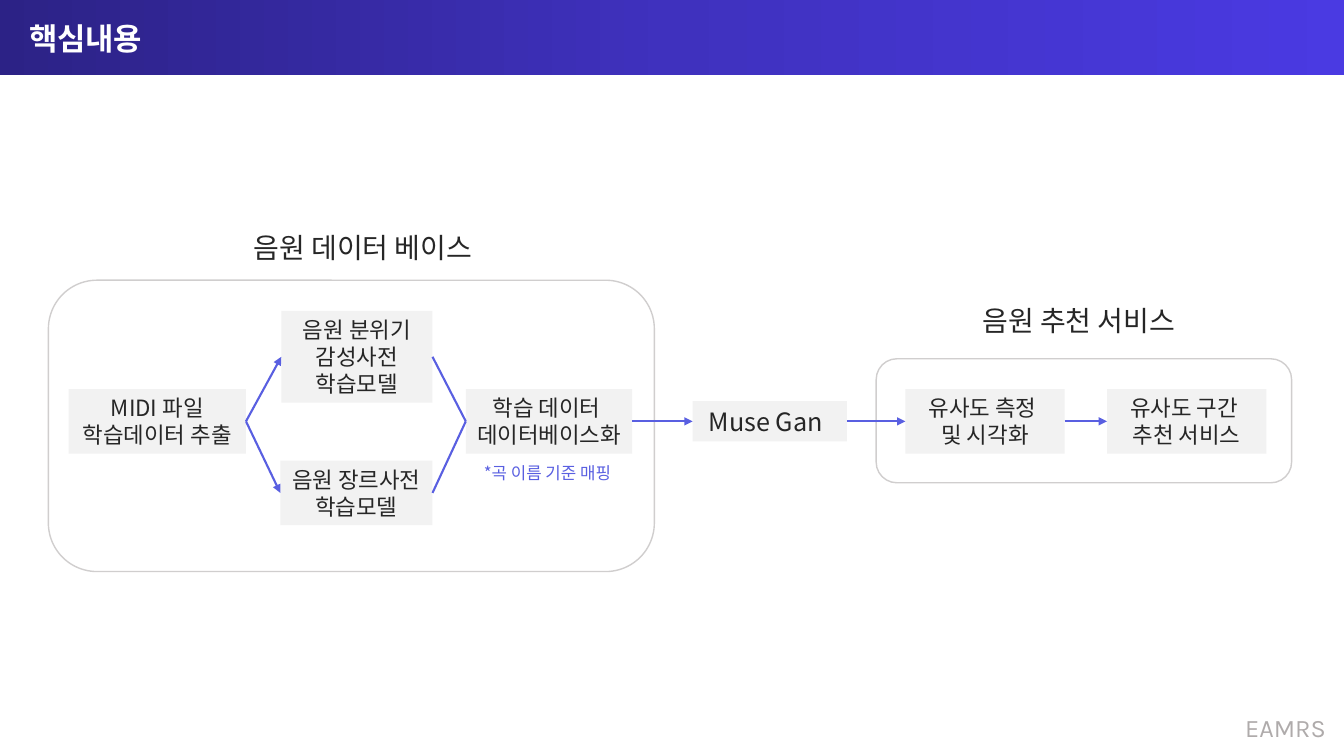
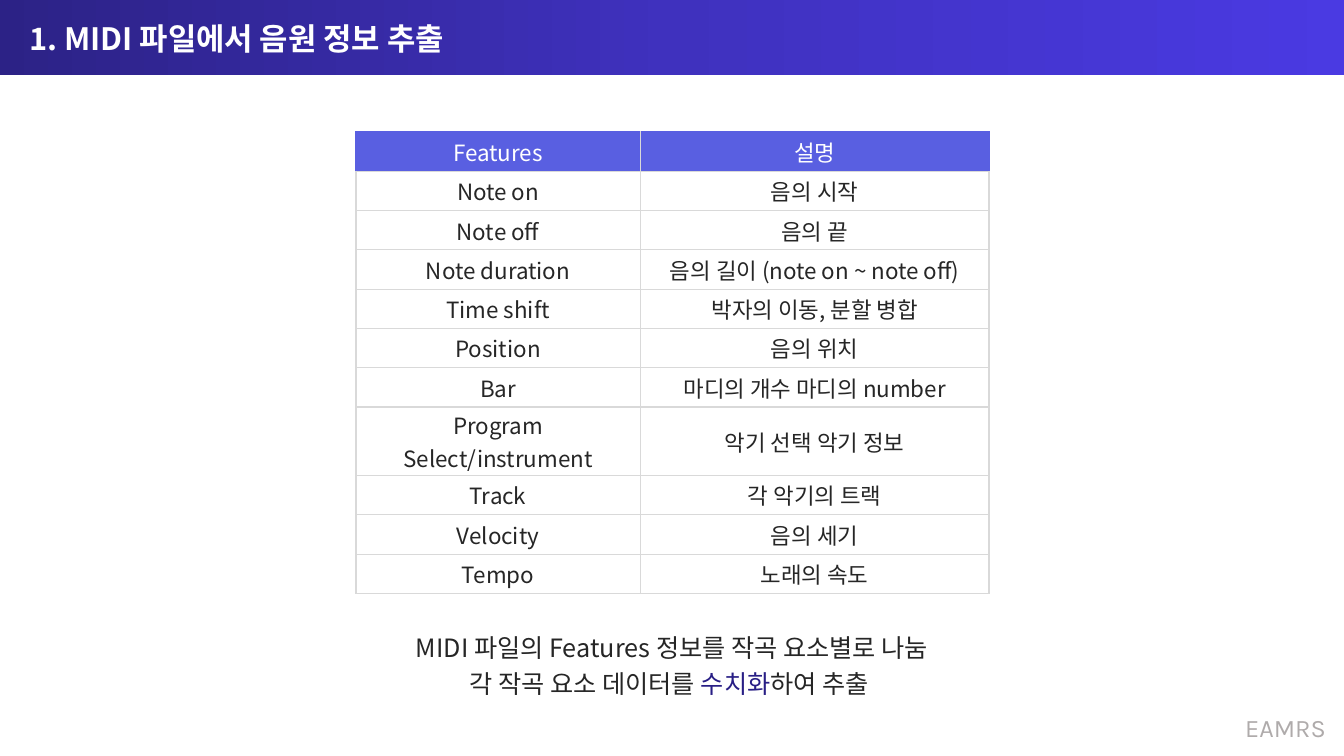
import copy

import pptx
import pptx.chart.data
import pptx.dml.color
import pptx.enum.shapes
import pptx.enum.text
import pptx.oxml
import pptx.oxml.ns
import pptx.util
from lxml import etree

Inches, Pt = pptx.util.Inches, pptx.util.Pt
RGB = pptx.dml.color.RGBColor
ALIGN = pptx.enum.text.PP_ALIGN
ANCHOR = pptx.enum.text.MSO_ANCHOR
SHAPE = pptx.enum.shapes.MSO_SHAPE
qn = pptx.oxml.ns.qn

WHITE = RGB(0xFF, 0xFF, 0xFF)
INK = RGB(0x26, 0x26, 0x26)
BLUE = RGB(0x59, 0x5F, 0xE1)
DEEP = RGB(0x28, 0x1E, 0x85)
PALE = RGB(0xF2, 0xF2, 0xF2)
EDGE = RGB(0xD0, 0xCE, 0xCE)
RULE = RGB(0xD9, 0xD9, 0xD9)
GRAY = RGB(0xAF, 0xAB, 0xAB)
BAND = [(0, RGB(0x2C, 0x22, 0x86)), (0.5, RGB(0x3F, 0x31, 0xBE)),
        (1, RGB(0x4A, 0x3A, 0xE2))]
FONT = "Noto Sans CJK KR"

# Slide 1: name, left, middle height, width, height, lines
MID, HIGH, LOW = 4.18, 3.54, 4.89
STEPS = [
    ("midi", 0.68, MID, 1.76, 0.64, ["MIDI 파일", "학습데이터 추출"]),
    ("mood", 2.79, HIGH, 1.5, 0.91, ["음원 분위기 감성사전", "학습모델"]),
    ("genre", 2.78, LOW, 1.51, 0.64, ["음원 장르사전 ", "학습모델"]),
    ("base", 4.62, MID, 1.65, 0.64, ["학습 데이터 ", "데이터베이스화"]),
    ("gan", 6.87, MID, 1.53, 0.4, ["Muse Gan"]),
    ("score", 8.98, MID, 1.58, 0.64, ["유사도 측정 ", "및 시각화"]),
    ("serve", 10.98, MID, 1.58, 0.64, ["유사도 구간 ", "추천 서비스"]),
]
# from, to, arrowhead
LINKS = [
    ("midi", "mood", True), ("midi", "genre", True),
    ("mood", "base", False), ("genre", "base", False),
    ("base", "gan", True), ("gan", "score", True), ("score", "serve", True),
]
GROUPS = [
    ("음원 데이터 베이스", (1.69, 2.24, 3.82, 0.44), (0.48, 2.78, 6.01, 2.89)),
    ("음원 추천 서비스", (8.79, 2.96, 3.82, 0.44), (8.69, 3.56, 4.12, 1.23)),
]
NOTE = "*곡 이름 기준 매핑"

# Slide 2
ROWS = [
    ("Features", "설명"),
    ("Note on", "음의 시작"),
    ("Note off", "음의 끝"),
    ("Note duration", "음의 길이 (note on ~ note off)"),
    ("Time shift", "박자의 이동, 분할 병합"),
    ("Position", "음의 위치"),
    ("Bar", "마디의 개수 마디의 number"),
    ("Program Select/instrument", "악기 선택 악기 정보"),
    ("Track", "각 악기의 트랙"),
    ("Velocity", "음의 세기"),
    ("Tempo", "노래의 속도"),
]
WIDTHS = (2.82, 3.46)
ROW, TALL = 0.39, 0.68
CLOSING = [
    ["MIDI 파일의 Features 정보를 작곡 요소별로 나눔"],
    ["각 작곡 요소 데이터를 ", ("수치화", DEEP), "하여 추출 "],
]


def write(frame, lines, size, color=INK, align=ALIGN.CENTER, font=FONT,
          bold=False, space=None):
    """Fill a frame; a line is a string or a list of strings and (text, colour)."""
    frame.word_wrap = True
    for i, line in enumerate(lines):
        para = frame.add_paragraph() if i else frame.paragraphs[0]
        para.alignment = align
        if space:
            para.line_spacing = space
        for part in [line] if isinstance(line, str) else line:
            text, tone = (part, color) if isinstance(part, str) else part
            run = para.add_run()
            run.text = text
            run.font.size = Pt(size)
            run.font.bold = bold
            run.font.color.rgb = tone
            run.font.name = font
            east = etree.SubElement(run.font._element, qn("a:ea"))
            east.set("typeface", font)


def label(slide, at, lines, size, **style):
    box = slide.shapes.add_textbox(*map(Inches, at))
    write(box.text_frame, lines, size, **style)
    return box


def block(slide, kind, at, fill=None, line=None):
    shape = slide.shapes.add_shape(kind, *map(Inches, at))
    shape.shadow.inherit = False
    if fill is None:
        shape.fill.background()
    else:
        shape.fill.solid()
        shape.fill.fore_color.rgb = fill
    if line is None:
        shape.line.fill.background()
    else:
        shape.line.color.rgb = line
        shape.line.width = Pt(1)
    return shape


def link(slide, start, end, arrow):
    """Join the right side of one box to the left side of the next."""
    line = slide.shapes.add_connector(
        pptx.enum.shapes.MSO_CONNECTOR.STRAIGHT, 0, 0, 0, 0)
    line.begin_connect(start, 3)
    line.end_connect(end, 1)
    line.line.color.rgb = BLUE
    line.line.width = Pt(1.5)
    if arrow:
        tail = etree.SubElement(line.line._get_or_add_ln(), qn("a:tailEnd"))
        tail.set("type", "triangle")
    etree.SubElement(line.element.spPr, qn("a:effectLst"))


def dress(layout, slide):
    """Put the band, the footer and the title place on the layout."""
    band = block(slide, SHAPE.RECTANGLE, (0, 0, 13.33, 0.74))
    band.fill.gradient()
    band.fill.gradient_angle = 0
    first = band.element.find(".//" + qn("a:gs"))
    first.addnext(copy.deepcopy(first))
    for stop, (place, color) in zip(band.fill.gradient_stops, BAND):
        stop.position = place
        stop.color.rgb = color
    mark = label(slide, (12.16, 7.02, 1.18, 0.4), ["EAMRS"], 18,
                 color=GRAY, font="Karla")
    for i, part in enumerate((band, mark)):
        layout.shapes.element.insert(2 + i, part.element)
    title = layout.placeholders[0]
    title.left, title.top, title.width, title.height = map(
        Inches, (0.19, 0.1, 7.19, 0.61))
    title.text_frame.vertical_anchor = ANCHOR.MIDDLE


def head(slide, text, font=FONT):
    write(slide.shapes.title.text_frame, [text], 22, color=WHITE,
          align=ALIGN.LEFT, font=font, bold=True, space=0.9)


def border(cell, sides):
    for side, color in sides.items():
        line = etree.SubElement(cell._tc.get_or_add_tcPr(), qn("a:ln" + side))
        line.set("w", str(Pt(1)))
        fill = etree.SubElement(line, qn("a:solidFill"))
        etree.SubElement(fill, qn("a:srgbClr")).set("val", str(color))


def flow(slide):
    for name, place, frame in GROUPS:
        block(slide, SHAPE.ROUNDED_RECTANGLE, frame, line=EDGE)
        label(slide, place, [name], 20)
    boxes = {}
    for key, left, mid, width, height, lines in STEPS:
        box = block(slide, SHAPE.RECTANGLE,
                    (left, mid - height / 2, width, height), fill=PALE)
        box.text_frame.vertical_anchor = ANCHOR.MIDDLE
        if key == "gan":
            box.text_frame.margin_left = Inches(0.16)
            write(box.text_frame, lines, 18, align=ALIGN.LEFT)
        else:
            write(box.text_frame, lines, 16)
        boxes[key] = box
    label(slide, (4.7, 4.54, 1.51, 0.3), [NOTE], 12, color=BLUE,
          align=ALIGN.LEFT)
    for start, end, arrow in LINKS:
        link(slide, boxes[start], boxes[end], arrow)


def features(slide):
    heights = [TALL if "/" in row[0] else ROW for row in ROWS]
    table = slide.shapes.add_table(
        len(ROWS), len(WIDTHS), Inches(3.53), Inches(1.31),
        Inches(sum(WIDTHS)), Inches(sum(heights))).table
    table.first_row = table.horz_banding = False
    for col, width in zip(table.columns, WIDTHS):
        col.width = Inches(width)
    for r, (row, height) in enumerate(zip(ROWS, heights)):
        table.rows[r].height = Inches(height)
        for c, text in enumerate(row):
            cell = table.cell(r, c)
            top = r == 0
            cell.vertical_anchor = ANCHOR.MIDDLE
            cell.margin_left = cell.margin_right = Inches(0 if top else 0.08)
            cell.margin_top = cell.margin_bottom = Inches(0 if top else 0.02)
            sides = dict.fromkeys("LRTB", RULE)
            if top:
                sides.update({"T": BLUE, "LR"[c]: BLUE})
            border(cell, sides)
            if top:
                cell.fill.solid()
                cell.fill.fore_color.rgb = BLUE
            else:
                cell.fill.background()
            write(cell.text_frame, [text], 16, color=WHITE if top else INK)
    label(slide, (3.66, 6.16, 6.01, 0.8), CLOSING, 18, space=1.2)


def main():
    deck = pptx.Presentation()
    deck.slide_width, deck.slide_height = Inches(13.33), Inches(7.5)
    layout = deck.slide_layouts[5]
    first = deck.slides.add_slide(layout)
    dress(layout, first)
    head(first, "핵심내용", font="Arial")
    flow(first)
    second = deck.slides.add_slide(layout)
    head(second, "1. MIDI 파일에서 음원 정보 추출")
    features(second)
    deck.save("out.pptx")


if __name__ == "__main__":
    main()
